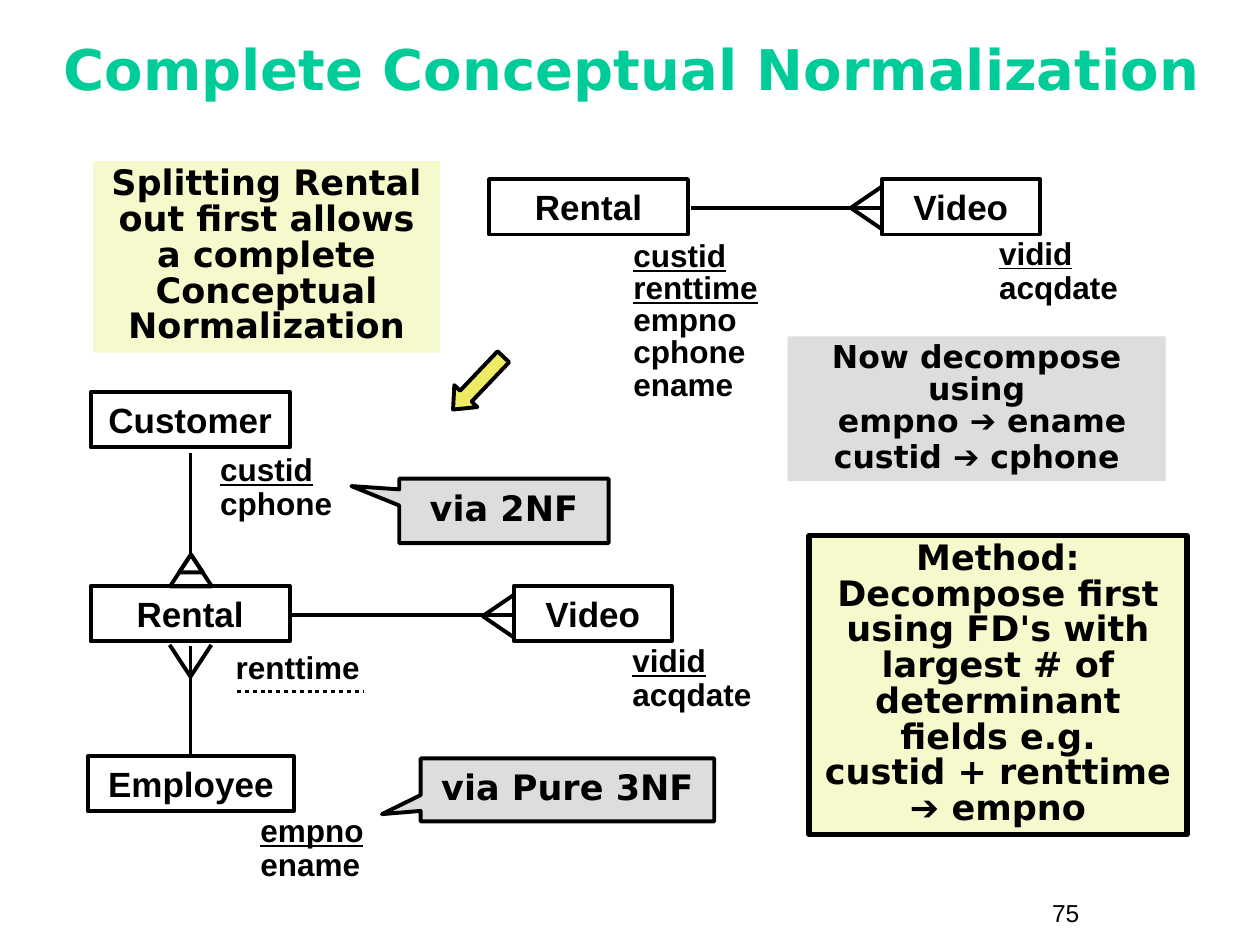
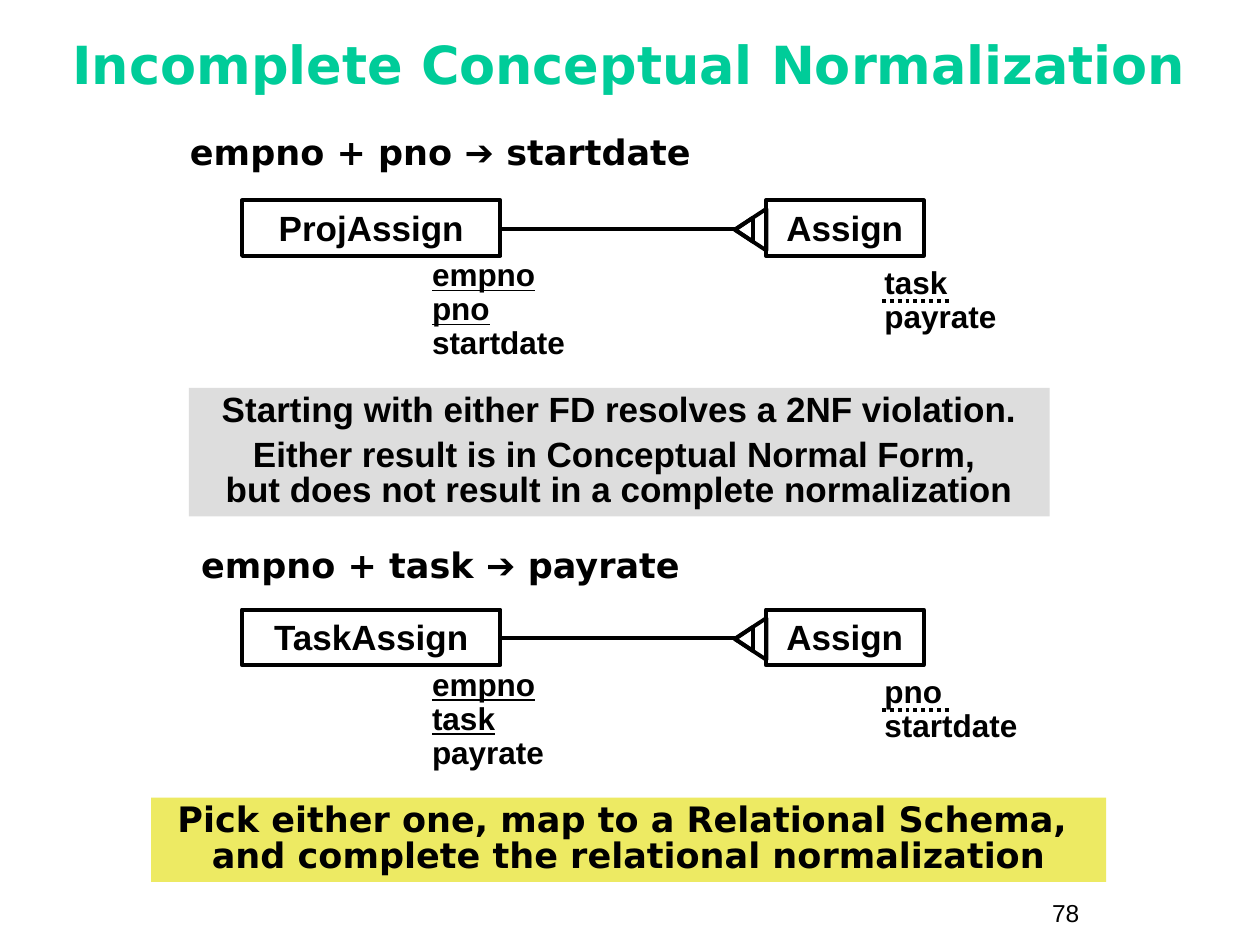
from lxml.etree import SubElement
from pptx import Presentation
from pptx.dml.color import RGBColor
from pptx.enum.dml import MSO_LINE_DASH_STYLE as Dash
from pptx.enum.shapes import MSO_CONNECTOR_TYPE as Link, MSO_SHAPE as Shape
from pptx.enum.text import MSO_ANCHOR as Anchor, MSO_AUTO_SIZE as AutoSize, PP_ALIGN as Align
from pptx.oxml.ns import qn
from pptx.util import Cm, Pt

BLACK = RGBColor(0x00, 0x00, 0x00)
GREEN = RGBColor(0x00, 0xCC, 0x99)
CREAM = RGBColor(0xF6, 0xF9, 0xCB)
YELLOW = RGBColor(0xED, 0xEA, 0x63)
GREY = RGBColor(0xDD, 0xDD, 0xDD)
PLAIN, DISPLAY = "Arial", "DejaVu Sans"
ARROW = "➔"
STROKE = 2.24
ENTITY_HEIGHT = 1.12
NUMBER_PLACE = (20.96, 17.98, 2.34, 0.86)

# All places are in centimetres: left, top, width, height.
# Slide 1: the complete normalization
ENTITIES = [  # name, left, top, width
    ("Rental", 9.86, 3.61, 4.01),
    ("Video", 17.78, 3.61, 3.18),
    ("Customer", 1.83, 7.9, 4.01),
    ("Rental", 1.83, 11.81, 4.01),
    ("Video", 10.36, 11.81, 3.18),
    ("Employee", 1.78, 15.24, 4.14),
]
ATTRIBUTES = [  # left, top, key fields, other fields, line spacing
    (12.52, 4.75, ["custid", "renttime"], ["empno", "cphone", "ename"], 0.85),
    (19.89, 4.67, ["vidid"], ["acqdate"], 0.9),
    (4.19, 9.04, ["custid"], ["cphone"], 0.9),
    (4.5, 13.03, [], ["renttime"], 0.9),
    (12.5, 12.88, ["vidid"], ["acqdate"], 0.9),
    (5, 16.31, ["empno"], ["ename"], 0.9),
]
RELATIONSHIPS = [  # start x, start y, end x, end y
    (13.92, 4.19, 17.75, 4.19),
    (5.89, 12.4, 10.34, 12.4),
    (3.84, 9.14, 3.84, 11.18),
    (3.84, 13.03, 3.84, 15.19),
]
TOES_RIGHT = [(0.63, -0.43), (0.63, 0.43)]
TOES_UP = [(-0.42, -0.64), (0.42, -0.64)]
CROW_FEET = [  # apex x, apex y, toes
    (17.15, 4.19, TOES_RIGHT),
    (9.73, 12.42, TOES_RIGHT),
    (3.84, 13.64, TOES_UP),
]
CALLOUTS = [  # text, place, pointer
    ("via 2NF", (8.05, 9.65, 4.22, 1.3), (-0.729, -0.384)),
    ("via Pure 3NF", (8.48, 15.29, 5.92, 1.27), (-0.632, 0.385)),
]
SPLIT_NOTE = ["Splitting Rental out first allows a complete\vConceptual Normalization"]
METHOD_NOTE = ["Method: Decompose first using FD's with largest # of determinant "
               "fields e.g.\vcustid + renttime ➔ empno"]
DECOMPOSE_NOTE = ["Now decompose using\v empno ➔ ename", "custid ➔ cphone"]

# Slide 2: two alternative starting points, drawn alike
CASES = [  # dependency, its top, entity, keys, others, partial key, dependent field
    ("empno + pno ➔ startdate", 2.64, "ProjAssign",
     ["empno", "pno"], ["startdate"], "task", "payrate"),
    ("empno + task ➔ payrate", 10.97, "TaskAssign",
     ["empno", "task"], ["payrate"], "pno", "startdate"),
]
CASE_TOP, CASE_STEP = 4.04, 8.25
RESULT_NOTE = ["Starting with either FD resolves a 2NF violation.",
               "Either result is in Conceptual Normal Form, \v"
               "but does not result in a complete normalization"]
ADVICE_NOTE = ["Pick either one, map to a Relational Schema, \v"
               "and complete the relational normalization"]


def cm(values):
    """Turn a tuple of centimetres into lengths."""
    return [Cm(value) for value in values]


def style(span, font, size, color=BLACK, bold=True):
    """Format one run."""
    span.font.name, span.font.size, span.font.bold = font, Pt(size), bold
    span.font.color.rgb = color


def write(frame, lines, font, size, align=Align.LEFT, spacing=1.0, gap=0,
          anchor=Anchor.TOP, bold=True):
    """Write paragraphs; arrows get the plain font, gap parts the paragraphs."""
    frame.word_wrap = True
    frame.auto_size = AutoSize.NONE
    frame.vertical_anchor = anchor
    for index, line in enumerate(lines):
        para = frame.add_paragraph() if index else frame.paragraphs[0]
        para.alignment, para.line_spacing = align, spacing
        para.space_before = Pt(gap if index else 0)
        for row, part in enumerate(line.split("\v")):
            if row:
                para.add_line_break()
            for piece in filter(None, part.partition(ARROW)):
                span = para.add_run()
                span.text = piece
                style(span, PLAIN if piece == ARROW else font, size, bold=bold)


def add_box(page, kind, place, fill=None, width=STROKE):
    """Add a preset shape; no fill or a zero line width leaves that part out."""
    box = page.shapes.add_shape(kind, *cm(place))
    box.shadow.inherit = False
    if fill is None:
        box.fill.background()
    else:
        box.fill.solid()
        box.fill.fore_color.rgb = fill
    if width:
        box.line.color.rgb, box.line.width = BLACK, Pt(width)
    else:
        box.line.fill.background()
    return box


def add_label(page, place, lines, font, size, **options):
    """Add a text box."""
    box = page.shapes.add_textbox(*cm(place))
    write(box.text_frame, lines, font, size, **options)
    return box


def add_line(page, ends, dash=None):
    """Add a straight black line."""
    line = page.shapes.add_connector(Link.STRAIGHT, *cm(ends))
    line.line.color.rgb, line.line.width = BLACK, Pt(STROKE)
    if dash:
        line.line.dash_style = dash
    SubElement(line._element.spPr, qn("a:effectLst"))


def add_entity(page, name, left, top, width):
    """Add a named entity rectangle."""
    box = add_box(page, Shape.RECTANGLE, (left, top, width, ENTITY_HEIGHT))
    write(box.text_frame, [name], PLAIN, 20, align=Align.CENTER)


def add_attributes(page, left, top, keys, others, spacing=0.9):
    """List an entity's fields with the keys underlined."""
    fields = keys + others
    place = (left, top, 3.76, 0.1 + 0.75 * len(fields))
    box = add_label(page, place, fields, PLAIN, 18, spacing=spacing)
    for para in box.text_frame.paragraphs[:len(keys)]:
        para.runs[0].font.underline = True


def add_note(page, place, fill, lines, font=DISPLAY, size=20, gap=0, width=0):
    """Add a filled panel with centred text."""
    box = add_box(page, Shape.RECTANGLE, place, fill, width)
    write(box.text_frame, lines, font, size, Align.CENTER, 0.85, gap)


def add_triangles(page, outer, inner, turn=0):
    """Add the nested triangles that end an identifying relationship."""
    for place in (outer, inner):
        add_box(page, Shape.ISOSCELES_TRIANGLE, place).rotation = turn


def add_page(deck, title, size, place, number):
    """Start a slide with its title and number."""
    page = deck.slides.add_slide(deck.slide_layouts[5])
    head = page.shapes.title
    head.left, head.top, head.width, head.height = cm(place)
    write(head.text_frame, [title], DISPLAY, size, Align.CENTER, 0.85, anchor=Anchor.MIDDLE)
    head.text_frame.paragraphs[0].runs[0].font.color.rgb = GREEN
    add_label(page, NUMBER_PLACE, [number], PLAIN, 14, bold=False)
    return page


def build_complete(deck):
    """Build the slide on complete normalization."""
    page = add_page(deck, "Complete Conceptual Normalization", 32,
                    (0.89, 0.53, 23.7, 1.9), "75")
    for entity in ENTITIES:
        add_entity(page, *entity)
    for attributes in ATTRIBUTES:
        add_attributes(page, *attributes)
    for ends in RELATIONSHIPS:
        add_line(page, ends)
    for x, y, toes in CROW_FEET:
        for dx, dy in toes:
            add_line(page, (x, y, x + dx, y + dy))
    add_line(page, (4.78, 13.94, 7.32, 13.94), Dash.ROUND_DOT)
    add_triangles(page, (3.43, 11.18, 0.84, 0.64), (3.61, 11.18, 0.48, 0.36))

    add_note(page, (1.88, 3.25, 6.99, 3.86), CREAM, SPLIT_NOTE)
    for text, place, pointer in CALLOUTS:
        box = add_box(page, Shape.RECTANGULAR_CALLOUT, place, GREY)
        box.adjustments[0], box.adjustments[1] = pointer
        write(box.text_frame, [text], DISPLAY, 20, Align.CENTER, 0.85, anchor=Anchor.MIDDLE)
    arrow = add_box(page, Shape.DOWN_ARROW, (9.32, 6.99, 0.64, 1.47), YELLOW)
    arrow.rotation = 43.6
    arrow.adjustments[0], arrow.adjustments[1] = 0.5, 0.583
    add_note(page, (16.31, 10.8, 7.62, 6.02), CREAM, METHOD_NOTE, width=3)
    add_note(page, (15.88, 6.78, 7.62, 2.92), GREY, DECOMPOSE_NOTE, size=18, gap=2.2)


def build_incomplete(deck):
    """Build the slide on incomplete normalization."""
    page = add_page(deck, "Incomplete Conceptual Normalization", 30,
                    (0.84, 0.2, 23.7, 2.34), "78")
    for index, case in enumerate(CASES):
        dependency, label_top, entity, keys, others, partial, dependent = case
        top = CASE_TOP + index * CASE_STEP
        add_label(page, (3.38, label_top, 11, 0.99), [dependency], DISPLAY, 20,
                  align=Align.CENTER, spacing=0.85)
        add_entity(page, entity, 4.88, top, 5.21)
        add_entity(page, "Assign", 15.44, top, 3.18)
        add_attributes(page, 8.46, top + 1.07, keys, others)
        add_attributes(page, 17.58, top + 1.22, [], [partial, dependent])
        add_line(page, (10.11, top + 0.58, 14.83, top + 0.58))
        add_line(page, (17.78, top + 2.03, 19.18, top + 2.03), Dash.ROUND_DOT)
        add_triangles(page, (14.71, top + 0.27, 0.84, 0.64),
                      (14.76, top + 0.41, 0.48, 0.36), 270)
    add_note(page, (3.81, 7.82, 17.35, 2.59), GREY, RESULT_NOTE, font=PLAIN, gap=5)
    add_note(page, (3.05, 16.08, 19.25, 1.7), YELLOW, ADVICE_NOTE)


deck = Presentation()
deck.slide_width, deck.slide_height = Cm(25.4), Cm(19.05)
build_complete(deck)
build_incomplete(deck)
deck.save("out.pptx")
